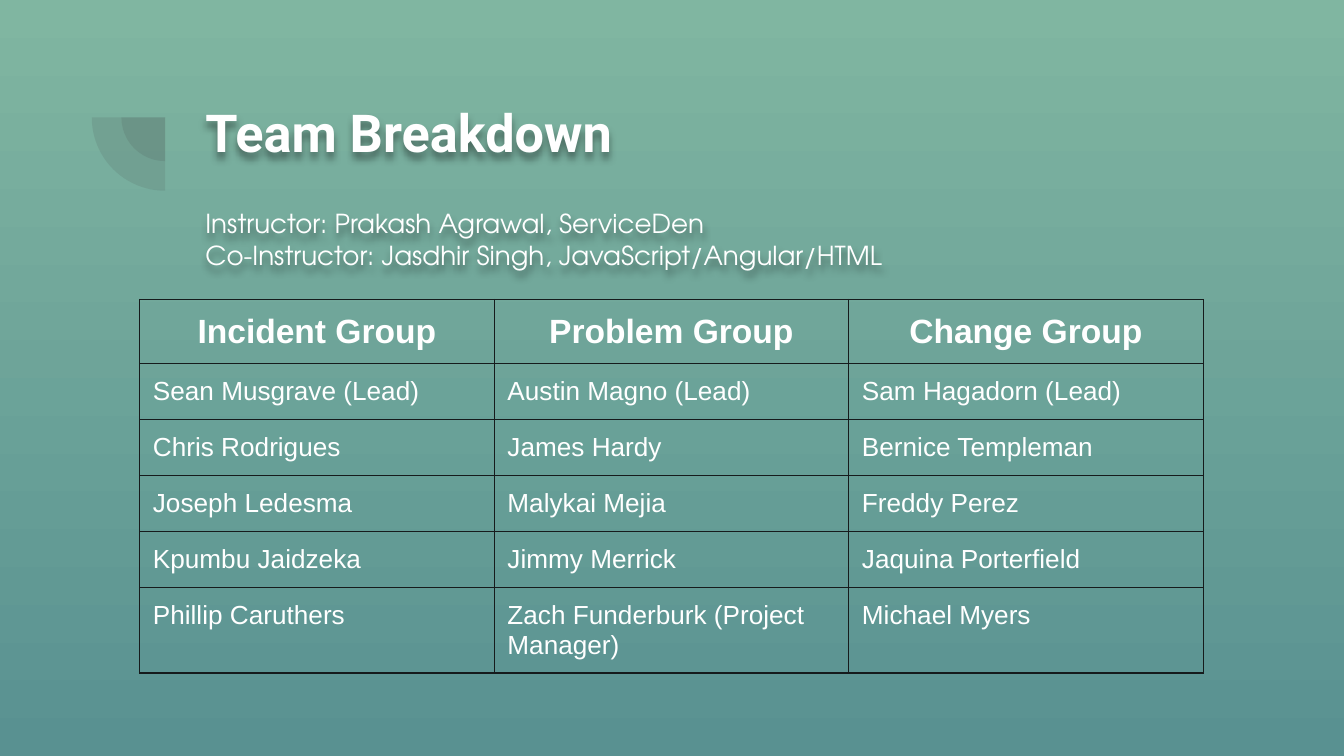
from dataclasses import dataclass

from lxml.etree import SubElement
from pptx import Presentation
from pptx.dml.color import RGBColor
from pptx.enum.shapes import MSO_SHAPE as Preset
from pptx.enum.text import MSO_ANCHOR as Anchor, MSO_AUTO_SIZE as AutoSize, PP_ALIGN as Align
from pptx.oxml import parse_xml
from pptx.oxml.ns import nsdecls, qn
from pptx.util import Cm, Pt


@dataclass(frozen=True)
class Theme:
    gradient: tuple = ("80B6A1", "599191")
    text: str = "FFFFFF"
    ornament: str = "424242"
    border: str = "161B1C"
    title_font: str = "Roboto"
    note_font: str = "TeX Gyre Adventor"
    table_font: str = "Arial"
    title_size: int = 28
    header_size: int = 18
    body_size: int = 14
    inset: float = 0.25


THEME = Theme()

INSTRUCTORS = [
    "Instructor: Prakash Agrawal, ServiceDen",
    "Co-Instructor: Jasdhir Singh, JavaScript/Angular/HTML",
]
GROUPS = {
    "Incident Group": ["Sean Musgrave (Lead)", "Chris Rodrigues", "Joseph Ledesma",
                       "Kpumbu Jaidzeka", "Phillip Caruthers"],
    "Problem Group": ["Austin Magno (Lead)", "James Hardy", "Malykai Mejia",
                      "Jimmy Merrick", "Zach Funderburk (Project Manager)"],
    "Change Group": ["Sam Hagadorn (Lead)", "Bernice Templeman", "Freddy Perez",
                     "Jaquina Porterfield", "Michael Myers"],
}


def write_text(frame, lines, *, font, size, bold=False, align=Align.LEFT):
    frame.text = "\n".join(lines)
    frame.word_wrap = True
    for paragraph in frame.paragraphs:
        paragraph.alignment = align
        for run in paragraph.runs:
            run.font.name = font
            run.font.size = Pt(size)
            run.font.bold = bold
            run.font.color.rgb = RGBColor.from_string(THEME.text)


def set_margins(target):
    """Give a text frame or a table cell the same inset on all sides."""
    for side in ("left", "top", "right", "bottom"):
        setattr(target, f"margin_{side}", Cm(THEME.inset))


def add_text_shadow(shape):
    """Cast a soft shadow below the text of an unfilled shape."""
    shape.fill.background()
    shape.element.spPr.append(parse_xml(
        f'<a:effectLst {nsdecls("a")}>'
        '<a:outerShdw blurRad="50800" dist="38100" dir="5400000" algn="t" rotWithShape="0">'
        '<a:srgbClr val="000000"><a:alpha val="40000"/></a:srgbClr>'
        '</a:outerShdw></a:effectLst>'))


def paint_background(slide):
    fill = slide.background.fill
    fill.gradient()
    fill.gradient_angle = 270
    for stop, color, position in zip(fill.gradient_stops, THEME.gradient, (0, 1)):
        stop.color.rgb = RGBColor.from_string(color)
        stop.position = position


def add_ornament(slide):
    """Two translucent quarter discs around one centre."""
    center_x, center_y = 3.12, 2.22
    group = slide.shapes.add_group_shape()
    for diameter in (1.65, 2.77):
        quarter = group.shapes.add_shape(
            Preset.PIE, Cm(center_x - diameter / 2), Cm(center_y - diameter / 2),
            Cm(diameter), Cm(diameter))
        quarter.adjustments[0] = 108
        quarter.adjustments[1] = 162
        quarter.rotation = 270
        quarter.shadow.inherit = False
        quarter.line.fill.background()
        quarter.fill.solid()
        quarter.fill.fore_color.rgb = RGBColor.from_string(THEME.ornament)
        color = quarter.element.spPr.find(f"{qn('a:solidFill')}/{qn('a:srgbClr')}")
        SubElement(color, qn("a:alpha")).set("val", "13000")


def add_title(slide, text):
    title = slide.shapes.title
    title.left, title.top, title.width, title.height = Cm(3.63), Cm(1.65), Cm(19.53), Cm(2.77)
    frame = title.text_frame
    frame.vertical_anchor = Anchor.TOP
    frame.auto_size = AutoSize.NONE
    set_margins(frame)
    write_text(frame, [text], font=THEME.title_font, size=THEME.title_size, bold=True)
    add_text_shadow(title)


def add_note(slide, lines):
    note = slide.shapes.add_textbox(Cm(3.63), Cm(3.68), Cm(14.45), Cm(1.7))
    set_margins(note.text_frame)
    write_text(note.text_frame, lines, font=THEME.note_font, size=THEME.body_size)
    note.text_frame.auto_size = AutoSize.SHAPE_TO_FIT_TEXT
    add_text_shadow(note)


def set_borders(cell):
    properties = cell._tc.get_or_add_tcPr()
    for index, side in enumerate(("lnL", "lnR", "lnT", "lnB")):
        properties.insert(index, parse_xml(
            f'<a:{side} {nsdecls("a")} w="{Pt(0.75)}"><a:solidFill>'
            f'<a:srgbClr val="{THEME.border}"/></a:solidFill></a:{side}>'))


def add_group_table(slide, groups):
    columns, rows = len(groups), 1 + max(map(len, groups.values()))
    column_width, row_height = 6.7, 1.06
    table = slide.shapes.add_table(
        rows, columns, Cm(2.64), Cm(5.66),
        Cm(columns * column_width), Cm(rows * row_height)).table
    table.first_row = table.horz_banding = False
    for column, width in zip(table.columns, [column_width] * columns):
        column.width = Cm(width)
    for row in table.rows:
        row.height = Cm(row_height)
    header = dict(size=THEME.header_size, bold=True, align=Align.CENTER)
    member = dict(size=THEME.body_size)
    for column, (group, names) in enumerate(groups.items()):
        for row, text in enumerate([group, *names]):
            cell = table.cell(row, column)
            set_margins(cell)
            cell.fill.background()
            set_borders(cell)
            write_text(cell.text_frame, [text], font=THEME.table_font,
                       **(member if row else header))


def main():
    presentation = Presentation()
    presentation.slide_width, presentation.slide_height = Cm(25.4), Cm(14.29)
    title_only = presentation.slide_layouts[5]
    slide = presentation.slides.add_slide(title_only)
    paint_background(slide)
    add_ornament(slide)
    add_title(slide, "Team Breakdown")
    add_group_table(slide, GROUPS)
    add_note(slide, INSTRUCTORS)
    presentation.save("out.pptx")


if __name__ == "__main__":
    main()
